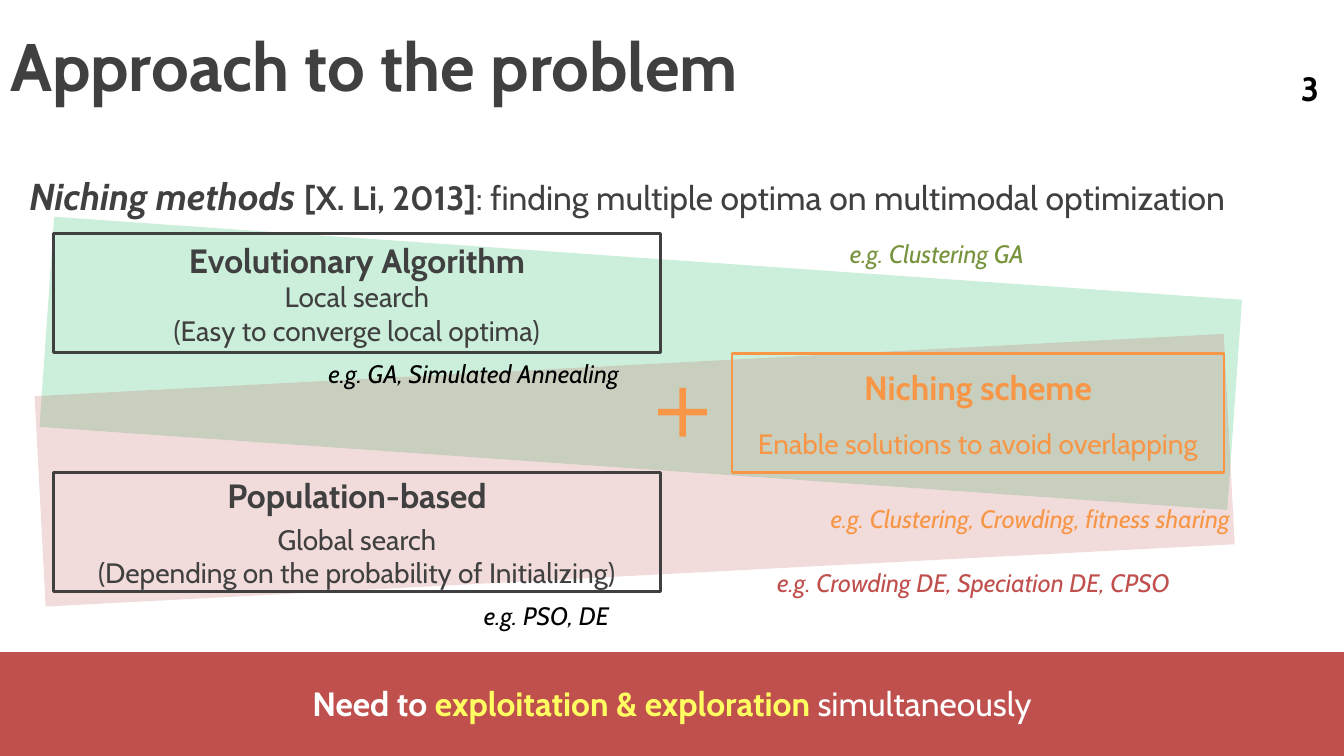
from dataclasses import dataclass

import lxml.etree
import pptx
import pptx.dml.color
import pptx.enum.shapes
import pptx.enum.text
import pptx.oxml.ns
import pptx.util

Inches = pptx.util.Inches
Align = pptx.enum.text.PP_ALIGN
Anchor = pptx.enum.text.MSO_ANCHOR
AutoSize = pptx.enum.text.MSO_AUTO_SIZE
Preset = pptx.enum.shapes.MSO_SHAPE


@dataclass(frozen=True)
class Theme:
    font: str = "Cabin"
    black: str = "000000"
    gray: str = "404040"
    white: str = "FFFFFF"
    green: str = "00B050"
    olive: str = "77933C"
    red: str = "C0504D"
    orange: str = "F79646"
    yellow: str = "FFFF61"
    title: float = 48
    term: float = 26.7
    heading: float = 24
    detail: float = 20
    example: float = 18
    outline: float = 2


THEME = Theme()


@dataclass(frozen=True)
class Area:
    left: float
    top: float
    width: float
    height: float

    def lengths(self) -> tuple:
        return tuple(Inches(n) for n in (self.left, self.top, self.width, self.height))


@dataclass(frozen=True)
class Span:
    text: str
    size: float
    color: str
    bold: bool = False
    italic: bool = False


@dataclass(frozen=True)
class Line:
    spans: tuple[Span, ...]
    align: Align = Align.LEFT
    gap: float | None = None


@dataclass(frozen=True)
class Band:
    area: Area
    color: str
    rotation: float


@dataclass(frozen=True)
class Card:
    area: Area
    color: str
    heading: str
    details: tuple[str, ...]
    gap: float


@dataclass(frozen=True)
class Example:
    text: str
    area: Area
    color: str


BANDS = (
    Band(Area(0.45, 2.56, 11.81, 2.09), THEME.green, 4),
    Band(Area(0.39, 3.62, 11.81, 2.09), THEME.red, 357),
)
CARDS = (
    Card(Area(0.53, 2.32, 6.02, 1.18), THEME.gray, "Evolutionary Algorithm",
         ("Local search", "(Easy to converge local optima)"), 0),
    Card(Area(7.26, 3.51, 4.88, 1.18), THEME.orange, "Niching scheme",
         ("Enable solutions to avoid overlapping",), 13.4),
    Card(Area(0.53, 4.69, 6.02, 1.18), THEME.gray, "Population-based",
         ("Global search", "(Depending on the probability of Initializing)"), 4.9),
)
EXAMPLES = (
    Example("e.g. GA, Simulated Annealing", Area(3.16, 3.51, 3.44, 0.4), THEME.black),
    Example("e.g. Clustering GA", Area(8.33, 2.32, 2.21, 0.4), THEME.olive),
    Example("e.g. Crowding DE, Speciation DE, CPSO", Area(7.61, 5.58, 4.51, 0.4), THEME.red),
    Example("e.g. Clustering, Crowding, fitness sharing", Area(8.14, 4.94, 4.9, 0.4), THEME.orange),
    Example("e.g. PSO, DE", Area(4.7, 5.91, 1.56, 0.4), THEME.black),
)


def rgb(color: str) -> pptx.dml.color.RGBColor:
    return pptx.dml.color.RGBColor.from_string(color)


def format_font(font, span: Span) -> None:
    font.size = pptx.util.Pt(span.size)
    font.bold = span.bold
    font.italic = span.italic
    font.color.rgb = rgb(span.color)


def write_lines(frame, lines: tuple[Line, ...], anchor: Anchor) -> None:
    frame.word_wrap = True
    frame.auto_size = AutoSize.NONE
    frame.vertical_anchor = anchor
    for index, line in enumerate(lines):
        para = frame.add_paragraph() if index else frame.paragraphs[0]
        para.alignment = line.align
        para.font.name = THEME.font
        if line.gap is not None:
            para.space_before = pptx.util.Pt(line.gap)
        if len(line.spans) == 1:
            format_font(para.font, line.spans[0])
        for span in line.spans:
            run = para.add_run()
            run.text = span.text
            if len(line.spans) > 1:
                format_font(run.font, span)


def add_text(slide, area: Area, line: Line) -> None:
    box = slide.shapes.add_textbox(*area.lengths())
    write_lines(box.text_frame, (line,), Anchor.TOP)


def fill_placeholder(holder, area: Area, line: Line) -> None:
    holder.left, holder.top, holder.width, holder.height = area.lengths()
    write_lines(holder.text_frame, (line,), Anchor.MIDDLE)


def remove_bullet(para) -> None:
    properties = para._p.get_or_add_pPr()
    properties.set("marL", "0")
    properties.set("indent", "0")
    bullet = lxml.etree.Element(pptx.oxml.ns.qn("a:buNone"))
    properties.find(pptx.oxml.ns.qn("a:defRPr")).addprevious(bullet)


def add_solid(slide, preset: Preset, area: Area, color: str):
    shape = slide.shapes.add_shape(preset, *area.lengths())
    shape.shadow.inherit = False
    shape.fill.solid()
    shape.fill.fore_color.rgb = rgb(color)
    shape.line.fill.background()
    return shape


def add_band(slide, band: Band) -> None:
    shape = add_solid(slide, Preset.RECTANGLE, band.area, band.color)
    shape.rotation = band.rotation
    color = shape.element.find(".//" + pptx.oxml.ns.qn("a:srgbClr"))
    lxml.etree.SubElement(color, pptx.oxml.ns.qn("a:alpha")).set("val", "20000")


def add_card(slide, card: Card) -> None:
    shape = slide.shapes.add_shape(Preset.RECTANGLE, *card.area.lengths())
    shape.shadow.inherit = False
    shape.fill.background()
    shape.line.color.rgb = rgb(card.color)
    shape.line.width = pptx.util.Pt(THEME.outline)
    heading = Line((Span(card.heading, THEME.heading, card.color, bold=True),), Align.CENTER)
    details = tuple(
        Line((Span(text, THEME.detail, card.color),), Align.CENTER, 0 if index else card.gap)
        for index, text in enumerate(card.details)
    )
    write_lines(shape.text_frame, (heading, *details), Anchor.MIDDLE)


def main() -> None:
    deck = pptx.Presentation()
    deck.slide_width, deck.slide_height = Inches(13.33), Inches(7.5)
    slide = deck.slides.add_slide(deck.slide_layouts[1])
    title, body = slide.placeholders
    fill_placeholder(title, Area(0, 0, 13.33, 1.29), Line(
        (Span("Approach to the problem", THEME.title, THEME.gray, bold=True),)))
    fill_placeholder(body, Area(0.19, 1.6, 12.99, 0.67), Line((
        Span("Niching methods ", THEME.term, THEME.gray, bold=True, italic=True),
        Span("[X. Li, 2013]", THEME.heading, THEME.gray, bold=True),
        Span(": finding multiple optima on multimodal optimization", THEME.heading, THEME.gray))))
    remove_bullet(body.text_frame.paragraphs[0])
    for band in BANDS:
        add_band(slide, band)
    for card in CARDS:
        add_card(slide, card)
    plus = add_solid(slide, Preset.MATH_PLUS, Area(6.44, 3.76, 0.66, 0.66), THEME.orange)
    plus.adjustments[0] = 0.098
    for example in EXAMPLES:
        add_text(slide, example.area, Line(
            (Span(example.text, THEME.example, example.color, italic=True),)))
    add_text(slide, Area(11.8, 0.62, 1.38, 0.5), Line(
        (Span("3", THEME.heading, THEME.black, bold=True),), Align.RIGHT))
    add_solid(slide, Preset.RECTANGLE, Area(0, 6.47, 13.33, 1.03), THEME.red)
    add_text(slide, Area(0, 6.73, 13.33, 0.5), Line((
        Span("Need to ", THEME.heading, THEME.white, bold=True),
        Span("exploitation & exploration ", THEME.heading, THEME.yellow, bold=True),
        Span("simultaneously", THEME.heading, THEME.white)), Align.CENTER))
    deck.save("out.pptx")


if __name__ == "__main__":
    main()
